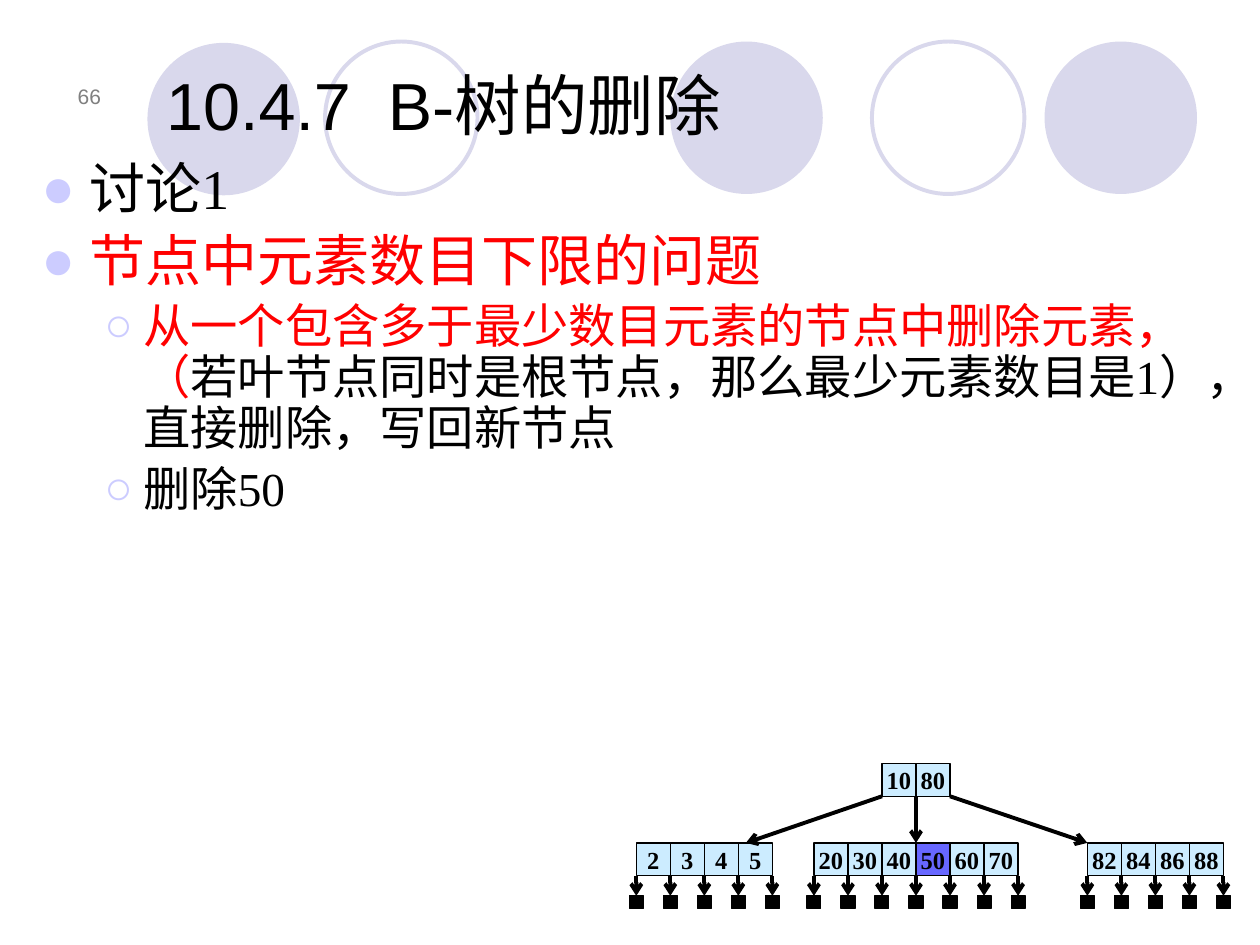
from lxml import etree
from pptx import Presentation
from pptx.dml.color import RGBColor
from pptx.enum.shapes import MSO_CONNECTOR, MSO_SHAPE
from pptx.enum.text import MSO_ANCHOR, PP_ALIGN
from pptx.oxml.ns import qn
from pptx.util import Inches, Pt

OVAL, RECT = MSO_SHAPE.OVAL, MSO_SHAPE.RECTANGLE
STRAIGHT = MSO_CONNECTOR.STRAIGHT
TOP, MIDDLE, BOTTOM = MSO_ANCHOR.TOP, MSO_ANCHOR.MIDDLE, MSO_ANCHOR.BOTTOM
LEFT, CENTER, RIGHT = PP_ALIGN.LEFT, PP_ALIGN.CENTER, PP_ALIGN.RIGHT

BLACK, RED, GRAY = "000000", "FF0000", "808080"
LAVENDER, BULLET = "D9D8EC", "CCCCFF"
KEY_FILL, DELETED_FILL = "CCECFF", "6767FF"
SANS, SERIF = "Arial", "Times New Roman"


def color(hex_code):
    return RGBColor.from_string(hex_code)


class SlideBuilder:
    # Per bullet level: character, text size, left margin, hanging indent
    levels = [("●", 32, 0.38, 0.38), ("○", 27, 0.81, 0.31)]
    key_width, key_height = 0.27, 0.26
    null_width, null_height = 0.11, 0.1

    def __init__(self, slide):
        self.slide = slide

    def style(self, run, size, font, hex_code, bold=False):
        run.font.size = Pt(size)
        run.font.name = font
        run.font.bold = bold
        run.font.color.rgb = color(hex_code)

    def shape(self, kind, left, top, width, height, fill=None, line=None, weight=0.75):
        shape = self.slide.shapes.add_shape(
            kind, Inches(left), Inches(top), Inches(width), Inches(height))
        shape.shadow.inherit = False
        if fill:
            shape.fill.solid()
            shape.fill.fore_color.rgb = color(fill)
        else:
            shape.fill.background()
        if line:
            shape.line.color.rgb = color(line)
            shape.line.width = Pt(weight)
        else:
            shape.line.fill.background()
        return shape

    def frame(self, left, top, width, height, anchor):
        frame = self.slide.shapes.add_textbox(
            Inches(left), Inches(top), Inches(width), Inches(height)).text_frame
        frame.word_wrap = True
        frame.vertical_anchor = anchor
        return frame

    def label(self, text, box, size, hex_code, align):
        frame = self.frame(*box, BOTTOM)
        frame.text = text
        frame.paragraphs[0].alignment = align
        self.style(frame.paragraphs[0].runs[0], size, SANS, hex_code)

    def bullets(self, items, box):
        frame = self.frame(*box, TOP)
        for index, (level, pieces) in enumerate(items):
            char, size, margin, hanging = self.levels[level]
            paragraph = frame.add_paragraph() if index else frame.paragraphs[0]
            properties = paragraph._p.get_or_add_pPr()
            properties.set("marL", str(Inches(margin)))
            properties.set("indent", str(-Inches(hanging)))
            bullet_color = etree.SubElement(properties, qn("a:buClr"))
            etree.SubElement(bullet_color, qn("a:srgbClr"), val=BULLET)
            etree.SubElement(properties, qn("a:buFont"), typeface=SANS)
            etree.SubElement(properties, qn("a:buChar"), char=char)
            paragraph.level = level
            paragraph.line_spacing = 0.9
            if index:
                paragraph.space_before = Pt(size * 0.2)
            for text, hex_code in pieces:
                run = paragraph.add_run()
                run.text = text
                self.style(run, size, SERIF, hex_code)

    def arrow(self, child, parent):
        """Link whose arrowhead points at the child."""
        x1, y1, x2, y2 = (Inches(value) for value in (*child, *parent))
        link = self.slide.shapes.add_connector(STRAIGHT, x1, y1, x2, y2)
        link.line.color.rgb = color(BLACK)
        link.line.width = Pt(2.25)
        etree.SubElement(link.line._get_or_add_ln(), qn("a:headEnd"), type="arrow")
        etree.SubElement(link._element.spPr, qn("a:effectLst"))

    def node(self, keys, left, top, deleted=None):
        for index, key in enumerate(keys):
            cell = self.shape(RECT, left + index * self.key_width, top,
                              self.key_width, self.key_height,
                              DELETED_FILL if key == deleted else KEY_FILL, BLACK)
            frame = cell.text_frame
            frame.word_wrap = False
            frame.vertical_anchor = MIDDLE
            frame.text = str(key)
            frame.paragraphs[0].alignment = CENTER
            self.style(frame.paragraphs[0].runs[0], 14, SERIF, BLACK, bold=True)

    def null_links(self, count, left, top, null_top):
        for index in range(count):
            x = left + index * self.key_width
            self.shape(RECT, x - self.null_width / 2, null_top,
                       self.null_width, self.null_height, BLACK, BLACK)
            self.arrow((x, null_top), (x, top))


def main():
    deck = Presentation()
    deck.slide_width, deck.slide_height = Inches(10), Inches(7.5)
    builder = SlideBuilder(deck.slides.add_slide(deck.slide_layouts[6]))

    # Background circles
    for left, top in [(5.32, 0.33), (8.29, 0.33), (1.17, 0.34)]:
        builder.shape(OVAL, left, top, 1.21, 1.21, fill=LAVENDER)
    for left in (6.92, 2.58):
        builder.shape(OVAL, left, 0.33, 1.21, 1.21, line=LAVENDER, weight=2.25)

    # Slide number and title
    builder.label("66", (0.35, 0.44, 0.55, 0.47), 12, GRAY, RIGHT)
    builder.label("10.4.7  B-树的删除", (1.22, 0.28, 8.19, 0.91), 38, BLACK, LEFT)

    # Discussion
    builder.bullets([
        (0, [("讨论1", BLACK)]),
        (0, [("节点中元素数目下限的问题", RED)]),
        (1, [("从一个包含多于最少数目元素的节点中删除元素，（", RED),
             ("若叶节点同时是根节点，那么最少元素数目是1），直接删除，写回新节点", BLACK)]),
        (1, [("删除50", BLACK)]),
    ], (0.23, 1.23, 9.53, 4.96))

    # B-tree: root, then each leaf with its link from the root
    root_keys, root_left, root_top = [10, 80], 7, 6.06
    leaf_top, null_top = 6.69, 7.11
    root_bottom = root_top + builder.key_height
    leaf_bottom = leaf_top + builder.key_height
    leaves = [  # keys, left, x where the root's arrow lands
        ([2, 3, 4, 5], 5.05, 5.92),
        ([20, 30, 40, 50, 60, 70], 6.46, 7.27),
        ([82, 84, 86, 88], 8.63, 8.63),
    ]
    builder.node(root_keys, root_left, root_top)
    for index, (keys, left, landing) in enumerate(leaves):
        builder.node(keys, left, leaf_top, deleted=50)
        builder.arrow((landing, leaf_top),
                      (root_left + index * builder.key_width, root_bottom))
        builder.null_links(len(keys) + 1, left, leaf_bottom, null_top)

    deck.save("out.pptx")


if __name__ == "__main__":
    main()
